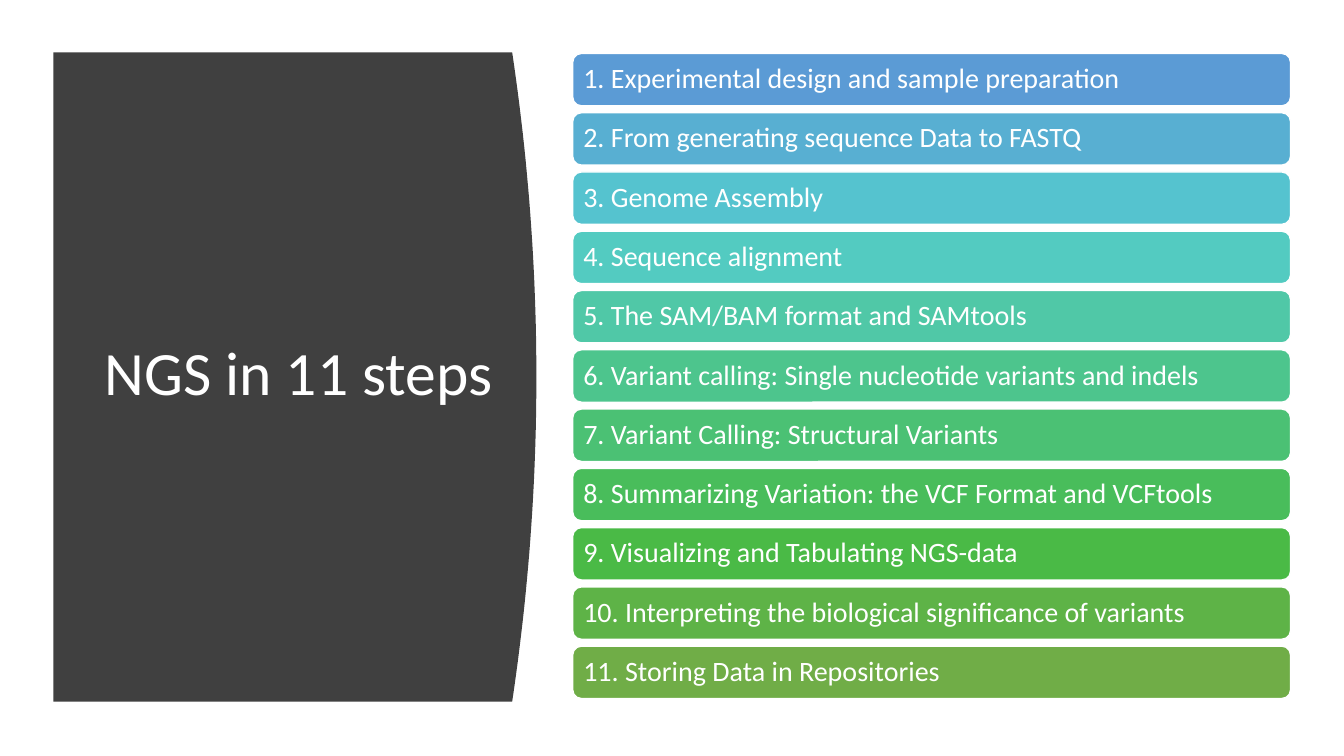
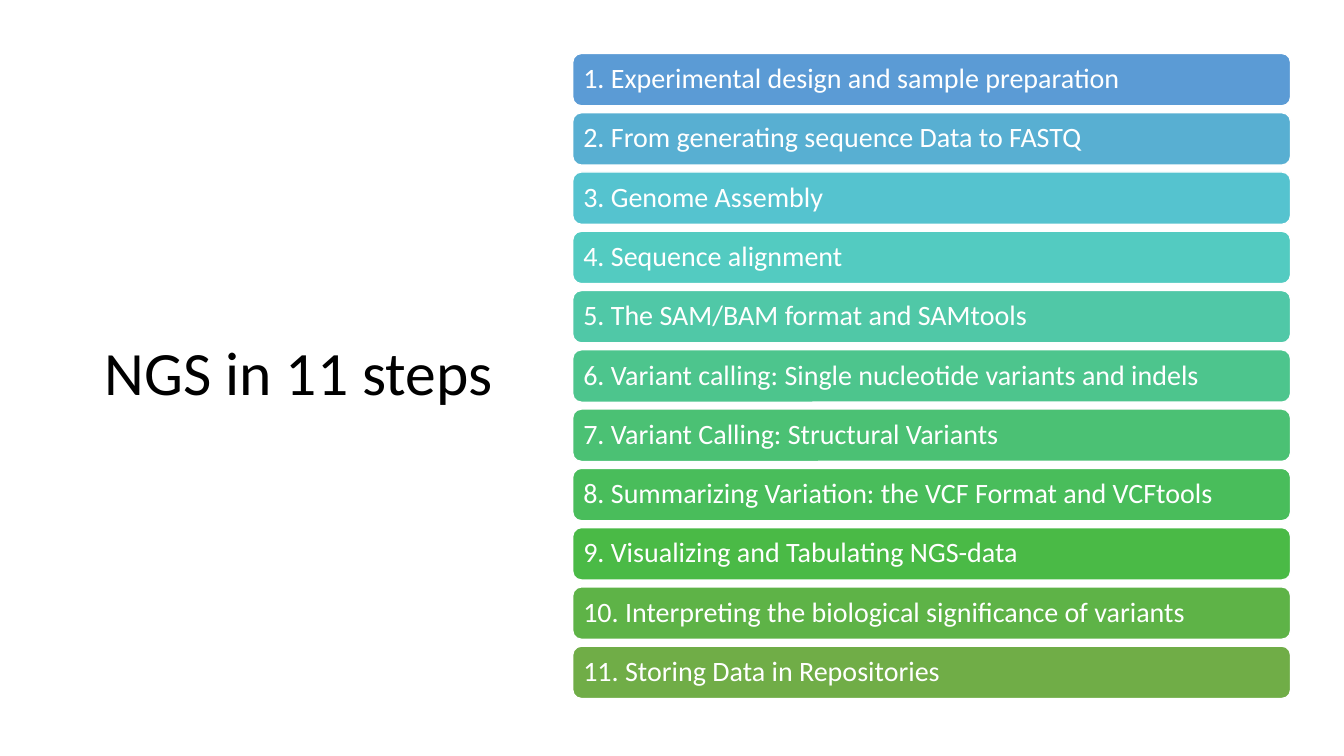
from pptx import Presentation
from pptx.dml.color import RGBColor
from pptx.enum.shapes import MSO_SHAPE as Preset
from pptx.enum.text import MSO_ANCHOR as Anchor, PP_ALIGN as Align
from pptx.util import Inches, Pt

# Shared look
FONT = "Calibri"
COLOURS = {
    "white": "FFFFFF",
    "black": "000000",
    "panel": "404040",
    "blue": "5B9BD5",
    "sky": "58AFD2",
    "cyan": "55C3CF",
    "turquoise": "53CBC1",
    "aqua": "50C8A7",
    "mint": "4DC58D",
    "jade": "4BC174",
    "emerald": "49BD5B",
    "green": "4ABA46",
    "leaf": "5EB347",
    "olive": "70AD47",
}

# Content
TITLE = "NGS in 11 steps"
STEPS = [
    ("Experimental design and sample preparation", "blue"),
    ("From generating sequence Data to FASTQ", "sky"),
    ("Genome Assembly", "cyan"),
    ("Sequence alignment", "turquoise"),
    ("The SAM/BAM format and SAMtools", "aqua"),
    ("Variant calling: Single nucleotide variants and indels", "mint"),
    ("Variant Calling: Structural Variants", "jade"),
    ("Summarizing Variation: the VCF Format and VCFtools", "emerald"),
    ("Visualizing and Tabulating NGS-data", "green"),
    ("Interpreting the biological significance of variants", "leaf"),
    ("Storing Data in Repositories", "olive"),
]

# Band stack, in inches
BAND_LEFT, BAND_WIDTH, BAND_HEIGHT = 5.68, 7.12, 0.52
FIRST_TOP, LAST_TOP = 0.53, 6.41
BAND_STEP = (LAST_TOP - FIRST_TOP) / (len(STEPS) - 1)
BAND_INSET = 0.08

# Curved panel, in inches
PANEL_LEFT, PANEL_RIGHT, PANEL_TOP, PANEL_BOTTOM = 0.53, 5.08, 0.52, 6.96
PANEL_BULGE, CURVE_PARTS = 0.24, 48


def colour(name):
    return RGBColor.from_string(COLOURS[name])


def fill_shape(shape, name):
    shape.shadow.inherit = False
    shape.fill.solid()
    shape.fill.fore_color.rgb = colour(name)


def write_line(frame, text, size, name):
    frame.word_wrap = True
    frame.vertical_anchor = Anchor.MIDDLE
    para = frame.paragraphs[0]
    para.alignment = Align.LEFT
    para.line_spacing = 0.9
    span = para.add_run()
    span.text = text
    span.font.name = FONT
    span.font.size = Pt(size)
    span.font.color.rgb = colour(name)


def add_panel(page):
    """Dark panel whose right edge bulges as a parabola."""
    height = PANEL_BOTTOM - PANEL_TOP
    edge = []
    for part in range(CURVE_PARTS + 1):
        share = part / CURVE_PARTS
        bulge = PANEL_BULGE * 4 * share * (1 - share)
        edge.append((Inches(PANEL_RIGHT + bulge), Inches(PANEL_TOP + height * share)))
    builder = page.shapes.build_freeform(Inches(PANEL_LEFT), Inches(PANEL_TOP))
    builder.add_line_segments(edge + [(Inches(PANEL_LEFT), Inches(PANEL_BOTTOM))], close=True)
    panel = builder.convert_to_shape()
    fill_shape(panel, "panel")
    panel.line.fill.background()


def add_title(page, name):
    box = page.shapes.add_textbox(Inches(0.94), Inches(1.11), Inches(4.15), Inches(5.24))
    write_line(box.text_frame, TITLE, 44, name)


def add_band(page, index, text, name):
    top = FIRST_TOP + index * BAND_STEP
    band = page.shapes.add_shape(
        Preset.ROUNDED_RECTANGLE,
        Inches(BAND_LEFT), Inches(top), Inches(BAND_WIDTH), Inches(BAND_HEIGHT),
    )
    fill_shape(band, name)
    band.line.color.rgb = colour("white")
    band.line.width = Pt(1)
    frame = band.text_frame
    frame.margin_left = frame.margin_right = Inches(BAND_INSET)
    frame.margin_top = frame.margin_bottom = Inches(BAND_INSET)
    write_line(frame, f"{index + 1}. {text}", 20, "white")


def add_steps_page(deck, title_colour, with_panel):
    page = deck.slides.add_slide(deck.slide_layouts[6])
    if with_panel:
        add_panel(page)
    add_title(page, title_colour)
    for index, (text, name) in enumerate(STEPS):
        add_band(page, index, text, name)


def main():
    deck = Presentation()
    deck.slide_width, deck.slide_height = Inches(13.33), Inches(7.5)
    add_steps_page(deck, "white", with_panel=True)
    add_steps_page(deck, "black", with_panel=False)
    deck.save("out.pptx")


if __name__ == "__main__":
    main()
